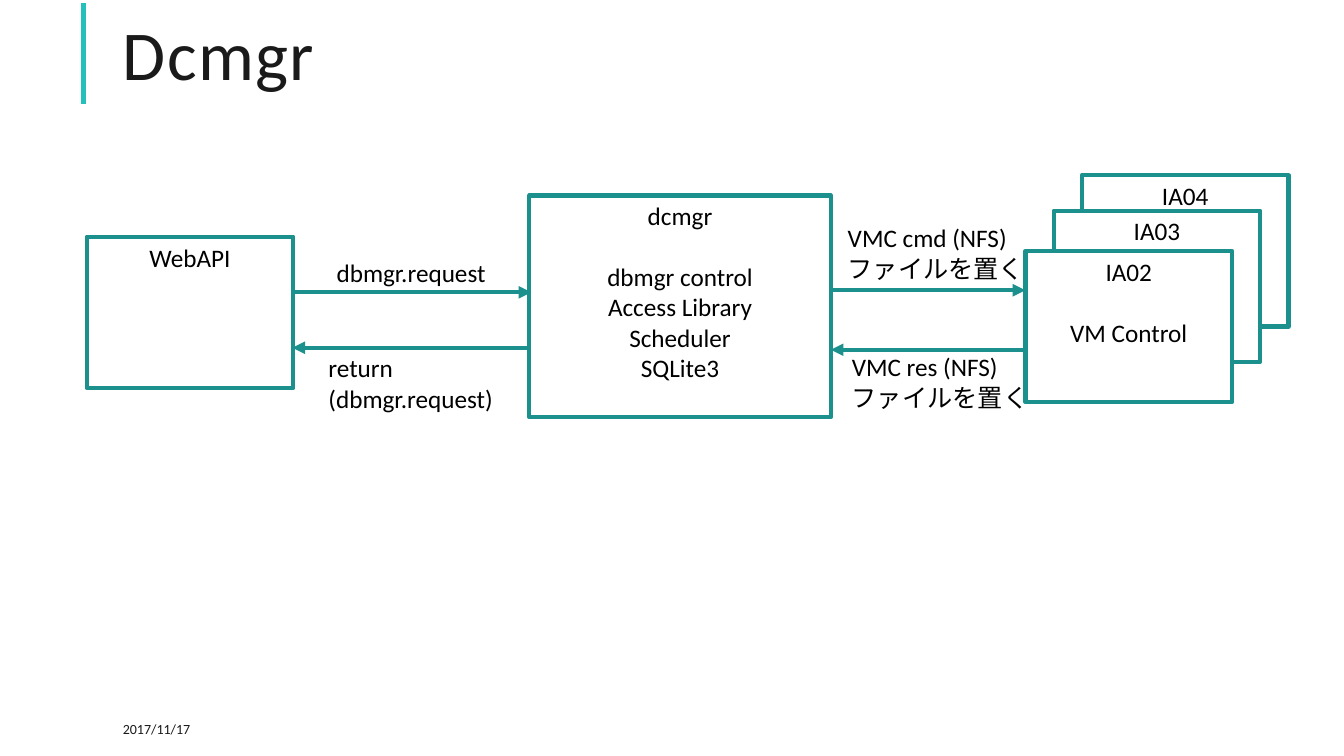
from pptx import Presentation
from pptx.dml.color import RGBColor
from pptx.enum.shapes import MSO_CONNECTOR, MSO_SHAPE
from pptx.enum.text import MSO_ANCHOR, PP_ALIGN
from pptx.oxml.ns import qn
from pptx.util import Inches, Pt
from lxml.etree import SubElement

TEAL = "1B908D"
BLACK = "000000"
DARK = "1A1A1A"
GAP = 22


def paint(color, code):
    color.rgb = RGBColor.from_string(code)


def write(frame, lines, size=18, code=BLACK, align=PP_ALIGN.LEFT,
          anchor=MSO_ANCHOR.TOP, wrap=True):
    frame.word_wrap = wrap
    frame.vertical_anchor = anchor
    for i, line in enumerate(lines):
        para = frame.paragraphs[0] if i == 0 else frame.add_paragraph()
        para.text = line
        para.alignment = align
        para.font.name = "Calibri"
        para.font.size = Pt(size)
        paint(para.font.color, code)


def label(slide, x, y, w, h, lines, **style):
    box = slide.shapes.add_textbox(Inches(x), Inches(y), Inches(w), Inches(h))
    write(box.text_frame, lines, **style)
    return box.text_frame


def node(slide, x, y, w, h, lines):
    box = slide.shapes.add_shape(
        MSO_SHAPE.RECTANGLE, Inches(x), Inches(y), Inches(w), Inches(h))
    box.shadow.inherit = False
    box.fill.solid()
    paint(box.fill.fore_color, "FFFFFF")
    paint(box.line.color, TEAL)
    box.line.width = Pt(3)
    write(box.text_frame, lines, align=PP_ALIGN.CENTER)
    if len(lines) > 1:
        box.text_frame.paragraphs[1].space_before = Pt(GAP)


def rule(slide, x1, y1, x2, y2, code=TEAL, width=3, arrow=True):
    link = slide.shapes.add_connector(
        MSO_CONNECTOR.STRAIGHT, Inches(x1), Inches(y1), Inches(x2), Inches(y2))
    paint(link.line.color, code)
    link.line.width = Pt(width)
    if arrow:
        SubElement(link.line._get_or_add_ln(), qn("a:tailEnd"), type="triangle")
    SubElement(link._element.spPr, qn("a:effectLst"))


def header(slide):
    rule(slide, 0.83, 1.03, 0.83, 0.03, "24C0BC", 4, False)
    title = label(slide, 1.12, 0.17, 10.63, 0.86, ["Dcmgr"], size=50,
                  code=DARK, anchor=MSO_ANCHOR.MIDDLE)
    para = title.paragraphs[0]
    para.line_spacing = 0.8
    para.runs[0]._r.get_or_add_rPr().set("spc", "100")
    label(slide, 1.12, 7.08, 2.36, 0.3, ["2017/11/17"], size=10,
          code=DARK, anchor=MSO_ANCHOR.MIDDLE)


def main():
    deck = Presentation()
    deck.slide_width = Inches(13.33)
    deck.slide_height = Inches(7.5)
    slide = deck.slides.add_slide(deck.slide_layouts[6])
    header(slide)

    node(slide, 0.86, 2.35, 2.05, 1.5, ["WebAPI"])
    node(slide, 5.25, 1.94, 2.99, 2.2,
         ["dcmgr", "dbmgr control", "Access Library", "Scheduler", "SQLite3"])
    for x, y, lines in [(10.73, 1.74, ["IA04"]),
                        (10.45, 2.09, ["IA03"]),
                        (10.17, 2.49, ["IA02", "VM Control"])]:
        node(slide, x, y, 2.05, 1.5, lines)

    for left, right, there, back in [(2.9, 5.27, 2.9, 3.45),
                                     (8.24, 10.17, 2.88, 3.47)]:
        rule(slide, left, there, right, there)
        rule(slide, right, back, left, back)

    label(slide, 3.24, 2.5, 1.7, 0.4, ["dbmgr.request"], wrap=False)
    label(slide, 3.16, 3.45, 1.86, 0.71, ["return (dbmgr.request)"])
    for x, y, verb in [(8.31, 2.16, "cmd"), (8.35, 3.44, "res")]:
        label(slide, x, y, 1.97, 0.71,
              [f"VMC {verb} (NFS)", "ファイルを置く"], wrap=False)

    deck.save("out.pptx")


main()
